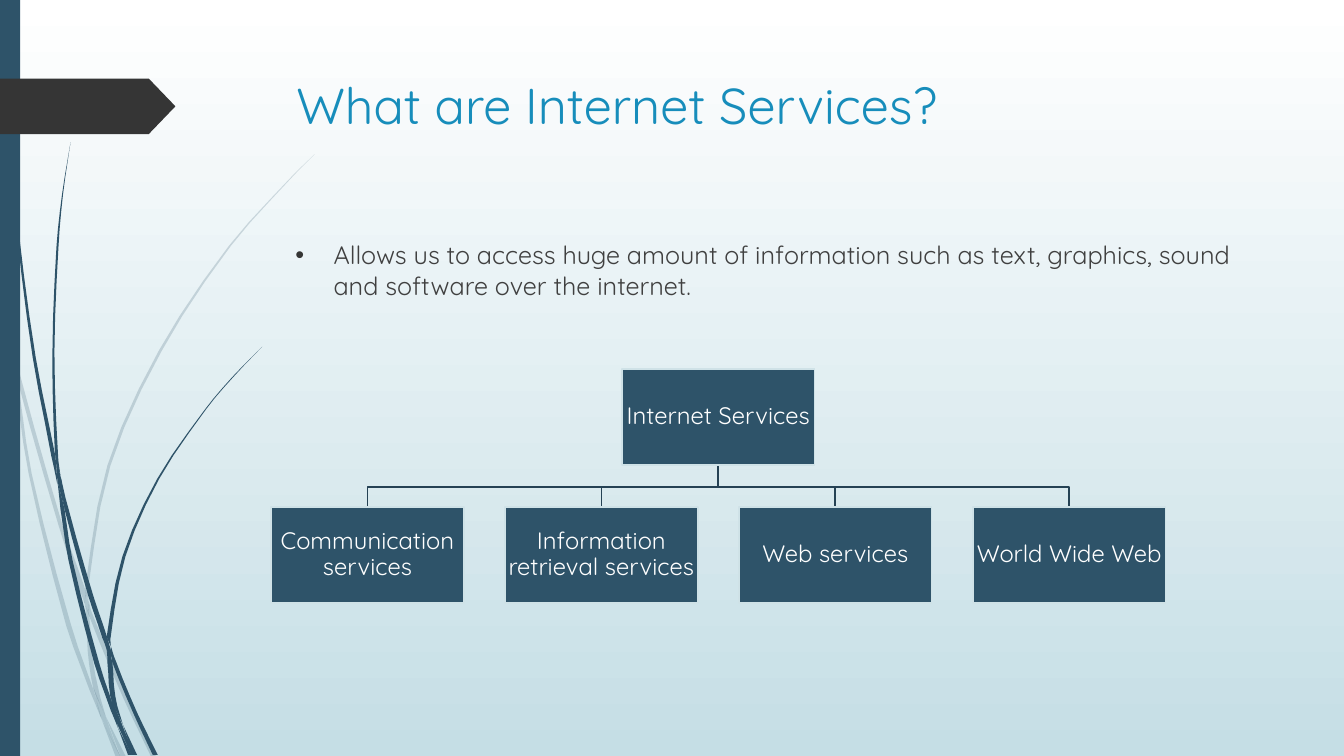
from lxml import etree
from pptx import Presentation
from pptx import util as u
from pptx.dml.color import RGBColor
from pptx.enum import shapes, text
from pptx.oxml.ns import qn

NAVY = RGBColor(0x2E, 0x53, 0x69)
CHARCOAL = RGBColor(0x35, 0x35, 0x35)
BODY_GREY = RGBColor(0x40, 0x40, 0x40)
TITLE_BLUE = RGBColor(0x17, 0x8D, 0xBB)
LINK_NAVY = RGBColor(0x25, 0x42, 0x54)
BOX_EDGE = RGBColor(0xCF, 0xE2, 0xE7)
WHITE = RGBColor(0xFF, 0xFF, 0xFF)
MIST = RGBColor(0xC5, 0xDE, 0xE5)

# Each blade runs down the slide as (x, y, width) points
PALE_BLADES = [
    [(0, 2.82, 0), (0.04, 3.1, 0.03), (0.11, 3.5, 0)],
    [(0.14, 3.45, 0), (0.19, 3.76, 0.04), (0.6, 5.21, 0.04), (0.82, 5.86, 0.06),
     (0.84, 5.99, 0)],
    [(0.88, 5.96, 0), (0.9, 6.1, 0.04), (1.25, 6.93, 0.05), (1.52, 7.5, 0.05)],
    [(1.05, 7.11, 0), (1.22, 7.5, 0.05)],
    [(0.11, 3.5, 0), (0.16, 3.76, 0.03), (0.3, 4.7, 0.03), (0.68, 6.2, 0.05),
     (0.91, 6.85, 0.04), (1.01, 7.14, 0)],
    [(0.84, 5.99, 0), (0.87, 6.1, 0.03), (0.89, 6.46, 0.04), (0.95, 6.83, 0.05),
     (1.05, 7.11, 0)],
    [(3.12, 1.53, 0), (2.9, 1.75, 0.01), (2.28, 2.44, 0.02), (1.59, 3.48, 0.03),
     (1.08, 4.62, 0.03), (0.86, 5.84, 0.03), (0.88, 5.96, 0)],
    [(1.01, 7.14, 0), (1.17, 7.5, 0.05)],
    [(0.85, 5.86, 0), (0.86, 5.98, 0.04), (0.88, 6.1, 0)],
    [(0.93, 6.83, 0), (1.02, 7.1, 0.05), (1.19, 7.5, 0)],
]
DARK_BLADES = [
    [(0.04, 0, 0.01), (0.08, 1.1, 0.01), (0.18, 2.33, 0.02), (0.34, 3.55, 0.03),
     (0.53, 4.53, 0.04), (0.57, 4.81, 0)],
    [(0.6, 4.72, 0), (0.66, 5.05, 0.04), (0.9, 5.91, 0.05), (1.04, 6.33, 0.05),
     (1.06, 6.45, 0)],
    [(1.1, 6.41, 0), (1.13, 6.56, 0.04), (1.34, 7.07, 0.04), (1.54, 7.49, 0.05)],
    [(0.57, 4.77, 0), (0.62, 5.05, 0.04), (0.7, 5.56, 0.04), (0.96, 6.58, 0.05),
     (1.12, 7.05, 0.04), (1.17, 7.22, 0)],
    [(0.7, 1.41, 0), (0.62, 1.93, 0.01), (0.57, 2.45, 0.02), (0.53, 3.49, 0.02),
     (0.56, 4.5, 0.03), (0.6, 4.72, 0)],
    [(1.22, 7.19, 0), (1.34, 7.49, 0.04)],
    [(0.55, 4.49, 0), (0.59, 4.77, 0.04), (0.64, 5.05, 0)],
    [(2.6, 3.44, 0), (2.31, 3.74, 0.01), (2.04, 4.06, 0.01), (1.57, 4.75, 0.02),
     (1.23, 5.52, 0.03), (1.08, 6.31, 0.04), (1.1, 6.41, 0)],
    [(1.17, 7.22, 0), (1.29, 7.49, 0.04)],
    [(1.06, 6.45, 0), (1.09, 6.56, 0.05), (1.12, 6.91, 0.05), (1.22, 7.19, 0)],
    [(1.06, 6.31, 0), (1.08, 6.45, 0.04), (1.1, 6.56, 0)],
    [(1.1, 6.91, 0), (1.16, 7.12, 0.05), (1.32, 7.49, 0.03)],
]
SERVICES = ["Communication services", "Information retrieval services",
            "Web services", "World Wide Web"]
BOX_W, BOX_H = 1.91, 0.95
ROOT_X, ROOT_Y = 6.17, 3.66
SERVICE_X, SERVICE_Y, SERVICE_STEP = 2.69, 5.03, 2.32
BRANCH_Y = 4.83


def smooth_blade(points, steps=3):
    """Interpolate x as a cubic of y, and the width linearly."""
    last = len(points) - 1
    slopes = []
    for i in range(last + 1):
        above, below = points[max(i - 1, 0)], points[min(i + 1, last)]
        slopes.append((below[0] - above[0]) / (below[1] - above[1]))
    curve = []
    for i in range(last):
        (x0, y0, w0), (x1, y1, w1) = points[i:i + 2]
        drop = y1 - y0
        for k in range(steps):
            t = k / steps
            x = ((1 + 2 * t) * (1 - t) ** 2 * x0 + t * (1 - t) ** 2 * drop * slopes[i]
                 + t * t * (3 - 2 * t) * x1 + t * t * (t - 1) * drop * slopes[i + 1])
            curve.append((x, y0 + t * drop, w0 + t * (w1 - w0)))
    return curve + [points[-1]]


def write_text(frame, words, size, color, inset=(0.1, 0.05), align=text.PP_ALIGN.LEFT,
               anchor=text.MSO_ANCHOR.TOP, line_spacing=None, font="Quicksand"):
    frame.word_wrap = True
    frame.vertical_anchor = anchor
    frame.margin_left = frame.margin_right = u.Inches(inset[0])
    frame.margin_top = frame.margin_bottom = u.Inches(inset[1])
    paragraph = frame.paragraphs[0]
    paragraph.alignment = align
    if line_spacing:
        paragraph.line_spacing = line_spacing
    run = paragraph.add_run()
    run.text = words
    run.font.name, run.font.size, run.font.color.rgb = font, u.Pt(size), color
    return paragraph


class SlideBuilder:
    line_width = u.Pt(1.25)

    def __init__(self, slide):
        self.slide = slide

    def paint(self, shape, fill=None, line=None, opacity=None):
        shape.shadow.inherit = False
        if fill is None:
            shape.fill.background()
        else:
            shape.fill.solid()
            shape.fill.fore_color.rgb = fill
        if line is None:
            shape.line.fill.background()
        else:
            shape.line.color.rgb = line
            shape.line.width = self.line_width
        if opacity is not None:
            color = shape.element.spPr.find(qn("a:solidFill")).find(qn("a:srgbClr"))
            etree.SubElement(color, qn("a:alpha")).set("val", str(opacity * 1000))
        return shape

    def backdrop(self, top, bottom):
        fill = self.slide.background.fill
        fill.gradient()
        fill.gradient_angle = 270
        for stop, color, position in zip(fill.gradient_stops, (top, bottom), (0, 1)):
            stop.color.rgb = color
            stop.position = position

    def block(self, kind, x, y, w, h, **paint):
        shape = self.slide.shapes.add_shape(
            kind, u.Inches(x), u.Inches(y), u.Inches(w), u.Inches(h))
        return self.paint(shape, **paint)

    def outline(self, points, close=True, **paint):
        corners = [(u.Inches(x), u.Inches(y)) for x, y in points]
        builder = self.slide.shapes.build_freeform(*corners[0])
        builder.add_line_segments(corners[1:], close=close)
        return self.paint(builder.convert_to_shape(), **paint)

    def blade(self, points, opacity=None):
        curve = smooth_blade(points)
        left = [(x - w / 2, y) for x, y, w in curve]
        right = [(x + w / 2, y) for x, y, w in reversed(curve)]
        self.outline(left + right, fill=NAVY, opacity=opacity)

    def text_box(self, x, y, w, h, words, **style):
        box = self.slide.shapes.add_textbox(
            u.Inches(x), u.Inches(y), u.Inches(w), u.Inches(h))
        return write_text(box.text_frame, words, **style)

    def bullet(self, paragraph, indent, color):
        paragraph.space_before = u.Pt(10)
        props = paragraph._p.get_or_add_pPr()
        props.set("marL", str(u.Inches(indent)))
        props.set("indent", str(-u.Inches(indent)))
        bullet_color = etree.SubElement(props, qn("a:buClr"))
        etree.SubElement(bullet_color, qn("a:srgbClr")).set("val", str(color))
        etree.SubElement(props, qn("a:buFont")).set("typeface", "Arial")
        etree.SubElement(props, qn("a:buChar")).set("char", "•")

    def chart_box(self, x, y, words):
        box = self.block(shapes.MSO_SHAPE.RECTANGLE, x, y, BOX_W, BOX_H,
                         fill=NAVY, line=BOX_EDGE)
        write_text(box.text_frame, words, size=17, color=WHITE, inset=(0.01, 0.01),
                   align=text.PP_ALIGN.CENTER, anchor=text.MSO_ANCHOR.MIDDLE,
                   line_spacing=0.9)


def main():
    deck = Presentation()
    deck.slide_width, deck.slide_height = u.Inches(13.33), u.Inches(7.5)
    page = SlideBuilder(deck.slides.add_slide(deck.slide_layouts[6]))

    # Background and blades
    page.backdrop(WHITE, MIST)
    for points in PALE_BLADES:
        page.blade(points, opacity=20)
    for points in DARK_BLADES:
        page.blade(points)

    # Side bar and arrow tab
    page.block(shapes.MSO_SHAPE.RECTANGLE, 0, 0, 0.2, 7.5, fill=NAVY)
    tab = page.block(shapes.MSO_SHAPE.PENTAGON, 0, 0.78, 1.74, 0.55, fill=CHARCOAL)
    tab.adjustments[0] = 0.48

    # Title and statement
    page.text_box(2.84, 0.69, 9.75, 1.4, "What are Internet Services?",
                  size=36, color=TITLE_BLUE)
    statement = page.text_box(
        2.83, 2.33, 9.75, 4.13,
        "Allows us to access huge amount of information such as text, graphics, "
        "sound and software over the internet.", size=18, color=BODY_GREY)
    page.bullet(statement, 0.38, CHARCOAL)

    # Hierarchy: branches first, boxes on top
    root_mid = ROOT_X + BOX_W / 2
    service_lefts = [SERVICE_X + i * SERVICE_STEP for i in range(len(SERVICES))]
    for left in reversed(service_lefts):
        mid = left + BOX_W / 2
        page.outline([(root_mid, ROOT_Y + BOX_H), (root_mid, BRANCH_Y),
                      (mid, BRANCH_Y), (mid, SERVICE_Y)], close=False, line=LINK_NAVY)
    page.chart_box(ROOT_X, ROOT_Y, "Internet Services")
    for left, service in zip(service_lefts, SERVICES):
        page.chart_box(left, SERVICE_Y, service)

    deck.save("out.pptx")


if __name__ == "__main__":
    main()
